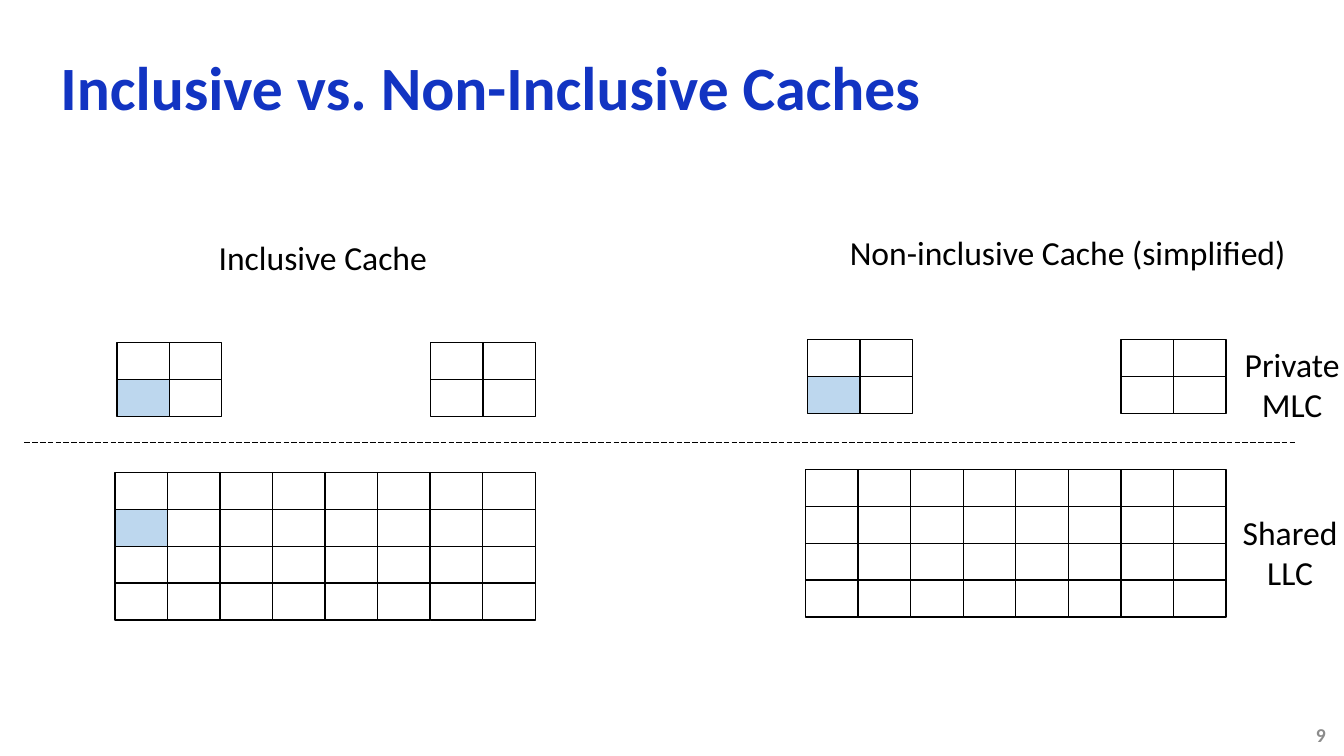
from lxml.etree import SubElement
from pptx import Presentation
from pptx.dml.color import RGBColor
from pptx.enum.dml import MSO_LINE
from pptx.enum.shapes import MSO_CONNECTOR, MSO_SHAPE
from pptx.enum.text import MSO_ANCHOR, MSO_AUTO_SIZE, PP_ALIGN
from pptx.oxml.ns import qn
from pptx.util import Inches, Pt

BLACK = RGBColor(0x00, 0x00, 0x00)
WHITE = RGBColor(0xFF, 0xFF, 0xFF)
TITLE_BLUE = RGBColor(0x12, 0x34, 0xC2)
CACHED_BLUE = RGBColor(0xBD, 0xD7, 0xEE)
NUMBER_GRAY = RGBColor(0x8C, 0x8C, 0x8C)

MLC_SIZE = (1.04, 0.73)
LLC_SIZE = (4.17, 1.46)


def write_text(frame, *lines, size=24, color=BLACK, bold=False,
               align=PP_ALIGN.LEFT, spacing=None):
    for index, line in enumerate(lines):
        para = frame.paragraphs[0] if index == 0 else frame.add_paragraph()
        para.alignment = align
        para.line_spacing = spacing
        span = para.add_run()
        span.text = line
        span.font.name = "Calibri"
        span.font.size = Pt(size)
        span.font.bold = bold
        span.font.color.rgb = color


def add_label(page, left, top, width, height, *lines, **text_format):
    """Add an unwrapped text box that grows with its text."""
    box = page.shapes.add_textbox(Inches(left), Inches(top), Inches(width), Inches(height))
    box.text_frame.word_wrap = False
    box.text_frame.auto_size = MSO_AUTO_SIZE.SHAPE_TO_FIT_TEXT
    write_text(box.text_frame, *lines, **text_format)


def add_title(page, text):
    title = page.shapes.title
    title.left, title.top = Inches(0.5), Inches(0.4)
    title.width, title.height = Inches(12.5), Inches(1)
    title.text_frame.vertical_anchor = MSO_ANCHOR.MIDDLE
    title.text_frame.auto_size = MSO_AUTO_SIZE.NONE
    write_text(title.text_frame, text, size=44, color=TITLE_BLUE, bold=True, spacing=0.9)


def add_page_number(page, number):
    box = page.shapes.add_textbox(Inches(12.39), Inches(7.09), Inches(0.91), Inches(0.4))
    frame = box.text_frame
    frame.word_wrap = True
    frame.vertical_anchor = MSO_ANCHOR.MIDDLE
    frame.margin_right = Inches(0.15)
    write_text(frame, str(number), size=14, color=NUMBER_GRAY, bold=True, align=PP_ALIGN.RIGHT)


def add_cache_grid(page, left, top, size, columns, rows, cached=None):
    """Fill the box with equal cells; cached is the (column, row) to highlight."""
    width, height = size[0] / columns, size[1] / rows
    for row in range(rows):
        for column in range(columns):
            cell = page.shapes.add_shape(
                MSO_SHAPE.RECTANGLE,
                Inches(left + column * width), Inches(top + row * height),
                Inches(width), Inches(height))
            cell.shadow.inherit = False
            cell.fill.solid()
            cell.fill.fore_color.rgb = CACHED_BLUE if (column, row) == cached else WHITE
            cell.line.color.rgb = BLACK
            cell.line.width = Pt(1)


def add_hierarchy(page, left, top, llc_cached=None):
    """Draw two private caches above the shared cache."""
    add_cache_grid(page, left + 0.02, top, MLC_SIZE, 2, 2, cached=(0, 1))
    add_cache_grid(page, left + 3.13, top, MLC_SIZE, 2, 2)
    add_cache_grid(page, left, top + 1.29, LLC_SIZE, 8, 4, cached=llc_cached)


def add_divider(page, left, right, top):
    line = page.shapes.add_connector(
        MSO_CONNECTOR.STRAIGHT, Inches(left), Inches(top), Inches(right), Inches(top))
    line.line.color.rgb = BLACK
    line.line.width = Pt(0.5)
    line.line.dash_style = MSO_LINE.LONG_DASH
    SubElement(line.element.spPr, qn("a:effectLst"))


def main():
    deck = Presentation()
    deck.slide_width, deck.slide_height = Inches(13.33), Inches(7.5)
    page = deck.slides.add_slide(deck.slide_layouts[5])
    add_title(page, "Inclusive vs. Non-Inclusive Caches")
    add_page_number(page, 9)

    add_label(page, 2.07, 2.3, 2.29, 0.5, "Inclusive Cache")
    add_hierarchy(page, 1.14, 3.4, llc_cached=(0, 1))
    add_label(page, 8.33, 2.25, 4.56, 0.5, "Non-inclusive Cache (simplified)")
    add_hierarchy(page, 7.99, 3.37)

    add_label(page, 12.24, 3.36, 1.15, 0.91, "Private", "MLC", align=PP_ALIGN.CENTER)
    add_label(page, 12.22, 5.03, 1.15, 0.91, "Shared", "LLC", align=PP_ALIGN.CENTER)
    add_divider(page, 0.24, 12.84, 4.39)
    deck.save("out.pptx")


if __name__ == "__main__":
    main()
